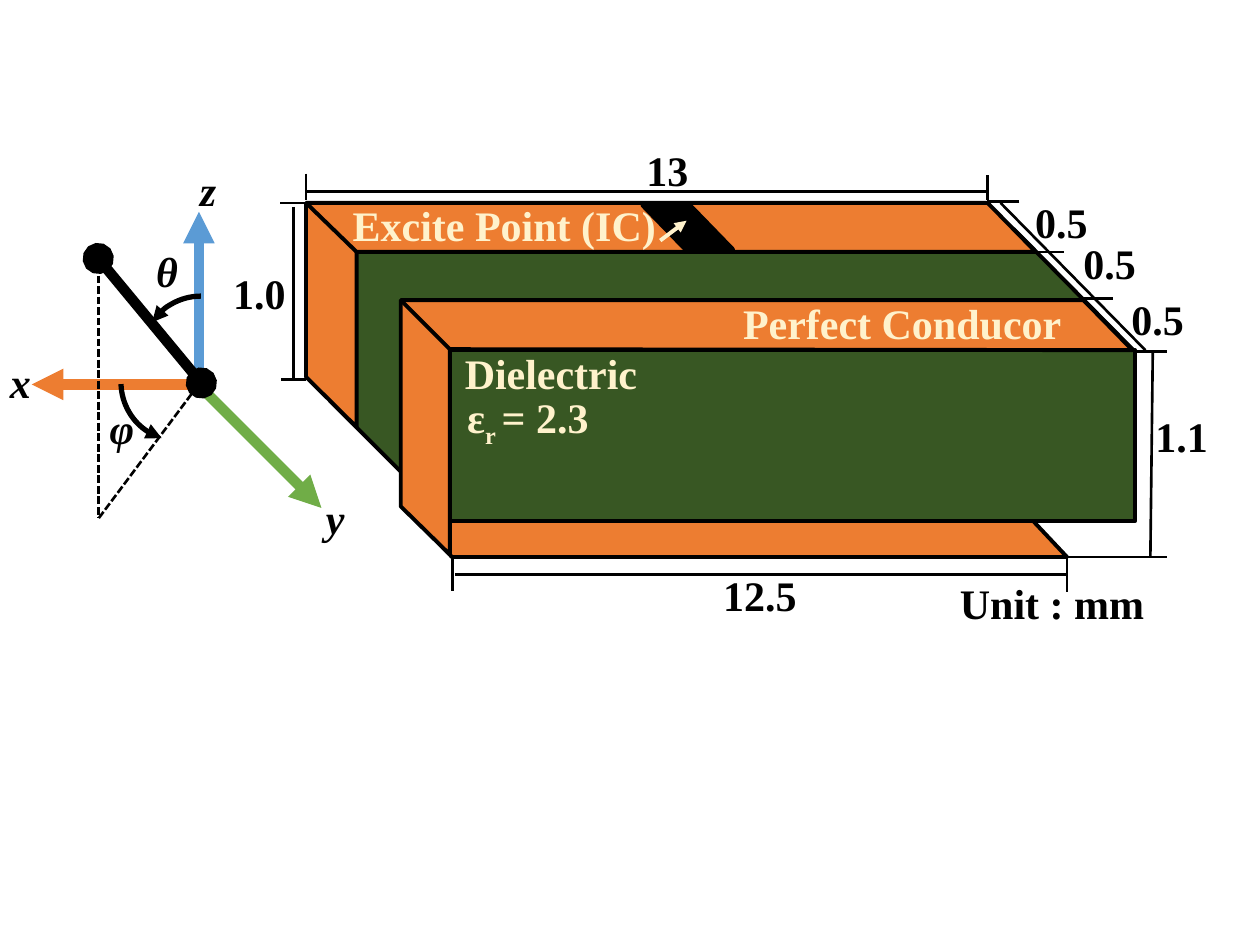
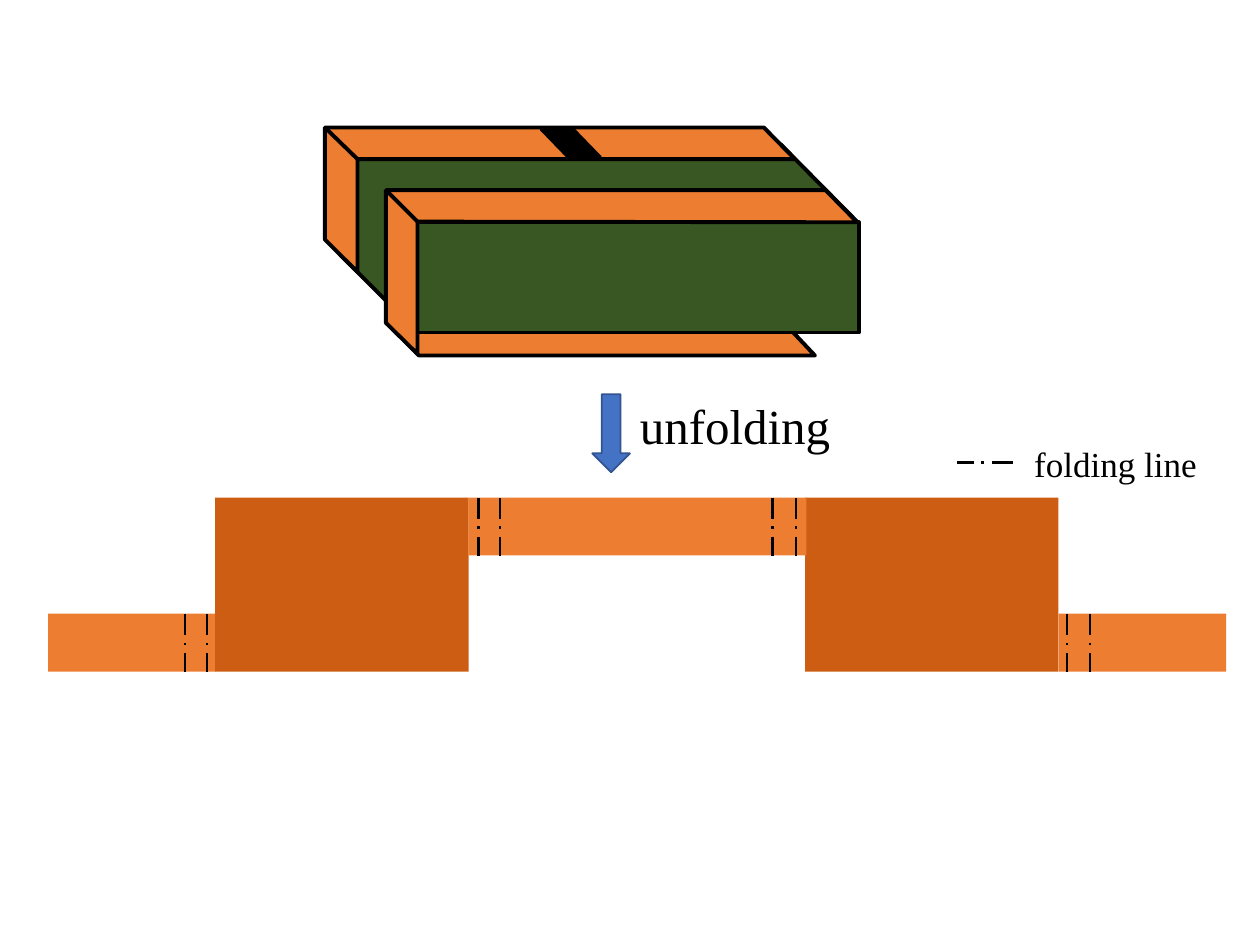
import lxml.etree
import pptx
import pptx.dml.color
import pptx.enum.dml
import pptx.enum.shapes
import pptx.enum.text
import pptx.oxml.ns
import pptx.util

Cm, Pt = pptx.util.Cm, pptx.util.Pt
RGB = pptx.dml.color.RGBColor.from_string
SHAPE = pptx.enum.shapes.MSO_SHAPE
DASH = pptx.enum.dml.MSO_LINE
qn = pptx.oxml.ns.qn

FONT = "Times New Roman"
COLORS = {
    "black": "000000", "cream": "FFF2CC", "conductor": "ED7D31",
    "panel": "CC5D12", "dielectric": "385723", "x_axis": "ED7D31",
    "y_axis": "70AD47", "z_axis": "5B9BD5", "arrow": "4472C4",
    "arrow_edge": "325491",
}


def add_line(shapes, x1, y1, x2, y2, color="black", width=1.5,
             dash=None, head=None, tail=None):
    """Draw a straight line in cm; head and tail are the end types."""
    c = shapes.add_connector(pptx.enum.shapes.MSO_CONNECTOR.STRAIGHT,
                             Cm(x1), Cm(y1), Cm(x2), Cm(y2))
    c.line.fill.solid()
    c.line.fill.fore_color.rgb = RGB(COLORS[color])
    c.line.width = Pt(width)
    if dash:
        c.line.dash_style = dash
    spPr = c._element.spPr
    for tag, kind in (("a:headEnd", head), ("a:tailEnd", tail)):
        if kind:
            lxml.etree.SubElement(spPr.find(qn("a:ln")), qn(tag), type=kind)
    lxml.etree.SubElement(spPr, qn("a:effectLst"))


def add_label(shapes, x, y, w, runs, color="black", size=24,
              bold=True, italic=False, wrap=False):
    """Write one line; runs is a list of (text, baseline) pairs."""
    height = round(size * 0.05 + 0.08, 2)
    tf = shapes.add_textbox(Cm(x), Cm(y), Cm(w), Cm(height)).text_frame
    tf.word_wrap = wrap
    tf.auto_size = pptx.enum.text.MSO_AUTO_SIZE.SHAPE_TO_FIT_TEXT
    p = tf.paragraphs[0]
    for text, baseline in runs:
        r = p.add_run()
        r.text = text
        r.font.name = FONT
        r.font.size = Pt(size)
        r.font.bold = bold
        r.font.italic = italic
        r.font.color.rgb = RGB(COLORS[color])
        if baseline:
            r.font._element.set("baseline", str(baseline))


prs = pptx.Presentation()
prs.slide_width, prs.slide_height = Cm(25.4), Cm(19.05)
model_slide, unfold_slide = [prs.slides.add_slide(prs.slide_layouts[6])
                             for _ in range(2)]

# Folded antenna in cm from its back top left corner, back to front
ANTENNA = [
    (SHAPE.PARALLELOGRAM, (2.03, 6.17, 13.31, 0.97), 0.94, "conductor"),
    ("outline", [(6.58, 0.43), (8.33, 0.43), (8.33, 0.97), (14.27, 0.97),
                 (14.27, 0.53), (16.71, 3), (14.48, 3), (14.48, 4.17),
                 (2.92, 4.17), (2.92, 6.43), (0.48, 3.99), (0.94, 3.99),
                 (0.94, 0.97), (6.58, 0.97)], None, "dielectric"),
    (SHAPE.RECTANGLE, (2.87, 2.97, 13.84, 3.45), None, "dielectric"),
    ("outline", [(0, 0), (13.74, 0), (14.71, 0.99), (1.02, 0.99),
                 (1.02, 4.52), (0, 3.51)], None, "conductor"),
    (SHAPE.PARALLELOGRAM, (6.78, 0.05, 1.83, 0.89), 0.97, "black"),
    ("edge", [(0, 0), (1.02, 0.99)], None, "black"),
    ("outline", [(1.91, 1.96), (15.67, 1.96), (16.66, 2.97), (2.9, 2.95),
                 (2.9, 7.09), (1.91, 6.12)], None, "conductor"),
    ("edge", [(1.91, 1.96), (2.9, 2.95)], None, "black"),
]
for s, left, top, scale in ((model_slide, 6.17, 4.09, 1),
                            (unfold_slide, 6.55, 2.57, 0.644)):
    shapes = s.shapes.add_group_shape().shapes
    for kind, geometry, skew, color in ANTENNA:
        if kind in ("outline", "edge"):
            points = [(left + x * scale, top + y * scale) for x, y in geometry]
            if kind == "edge":
                add_line(shapes, *points[0], *points[1], color, 2.25)
                continue
            corners = [(Cm(x), Cm(y)) for x, y in points]
            builder = shapes.build_freeform(*corners[0])
            builder.add_line_segments(corners[1:], close=True)
            sp = builder.convert_to_shape()
        else:
            x, y, w, h = [v * scale for v in geometry]
            sp = shapes.add_shape(kind, Cm(left + x), Cm(top + y), Cm(w), Cm(h))
        if skew:
            sp.adjustments[0] = skew
            sp._element.spPr.find(qn("a:xfrm")).set("flipV", "1")
        sp.shadow.inherit = False
        sp.fill.solid()
        sp.fill.fore_color.rgb = RGB(COLORS[color])
        sp.line.color.rgb = RGB(COLORS["black"])
        sp.line.width = Pt(2.25)

# Slide 1: coordinate axes
shapes = model_slide.shapes.add_group_shape().shapes
for ends, color in (((4.01, 7.75, 0.64, 7.75), "x_axis"),
                    ((4.09, 7.85, 6.48, 10.24), "y_axis"),
                    ((4.01, 7.65, 4.01, 4.27), "z_axis")):
    add_line(shapes, *ends, color, 6, tail="triangle")
add_line(shapes, 4.06, 7.72, 1.98, 5.21, width=6, head="oval", tail="oval")
for ends in ((3.99, 7.77, 1.98, 10.46), (1.98, 5.13, 1.98, 10.44)):
    add_line(shapes, *ends, dash=DASH.SQUARE_DOT)

for x, y, start, stop in ((2.87, 5.97, 270, 326.34), (2.44, 6.53, 1.67, 72.25)):
    sp = shapes.add_shape(SHAPE.ARC, Cm(x), Cm(y), Cm(2.36), Cm(2.36))
    sp.shadow.inherit = False
    # Angles are stored in 60000ths of a degree, adjustments in 100000ths
    sp.adjustments[0], sp.adjustments[1] = start * 0.6, stop * 0.6
    sp.fill.background()
    sp.line.color.rgb = RGB(COLORS["black"])
    sp.line.width = Pt(3)
    spPr = sp._element.spPr
    spPr.find(qn("a:xfrm")).set("flipH", "1")
    lxml.etree.SubElement(spPr.find(qn("a:ln")), qn("a:tailEnd"), type="triangle")

for symbol, x, y, w in (("x", -0.05, 7.06, 0.94), ("y", 6.32, 9.8, 0.89),
                        ("z", 3.78, 3.2, 0.84), ("θ", 2.9, 4.83, 0.97),
                        ("φ", 1.96, 7.98, 1.02)):
    add_label(shapes, x, y, w, [(symbol, 0)], italic=True)

# Slide 1: dimensions
shapes = model_slide.shapes.add_group_shape().shapes
DIMENSION_LINES = [
    # length along the top
    (6.17, 3.5, 6.17, 4.04), (19.91, 3.53, 19.91, 4.04),
    (6.17, 3.86, 19.91, 3.86),
    # height on the left
    (6.17, 4.09, 5.64, 4.09), (6.17, 7.65, 5.66, 7.65),
    (5.92, 4.17, 5.92, 7.65),
    # depth steps
    (20.55, 4.06, 19.89, 4.06), (21.44, 5.08, 20.75, 5.08),
    (22.43, 6.02, 21.79, 6.02), (20.17, 4.09, 23.09, 7.06),
    # height on the right
    (23.52, 7.09, 22.89, 7.09), (23.52, 11.23, 21.51, 11.23),
    (23.24, 7.06, 23.19, 11.23),
    # length along the bottom
    (9.12, 11.2, 9.12, 11.91), (21.51, 11.23, 21.51, 11.94),
    (21.49, 11.58, 9.17, 11.58),
]
for ends in DIMENSION_LINES:
    add_line(shapes, *ends)
add_line(shapes, 13.31, 4.85, 13.84, 4.45, "cream", 2.25, tail="triangle")

for text, x, y, w, wrap in (("13", 12.78, 2.79, 1.37, False),
                            ("1.0", 4.45, 5.26, 1.65, True),
                            ("0.5", 20.62, 3.84, 1.6, True),
                            ("0.5", 21.59, 4.67, 1.6, True),
                            ("0.5", 22.56, 5.79, 1.6, True),
                            ("1.1", 23.04, 8.15, 1.6, True),
                            ("12.5", 14.33, 11.35, 2.01, False),
                            ("Unit : mm", 19.1, 11.51, 4.27, False)):
    add_label(shapes, x, y, w, [(text, 0)], wrap=wrap)
for runs, x, y, w in (([("Excite Point (IC)", 0)], 6.86, 3.89, 6.68),
                      ([("Perfect Conducor", 0)], 14.73, 5.87, 6.99),
                      ([("Dielectric", 0)], 9.12, 6.88, 4.01),
                      ([("ε", 0), ("r ", -25000), ("= 2.3", 0)],
                       9.17, 7.77, 3.02)):
    add_label(shapes, x, y, w, runs, "cream")

# Slide 2: unfolded sheet
shapes = unfold_slide.shapes
SHEET_TOP, TAB_TOP = 10.03, 12.37
STRIP_H, PANEL_H = 1.17, 3.51
for x, y, w, h, color in ((0.97, TAB_TOP, 3.38, STRIP_H, "conductor"),
                          (4.34, SHEET_TOP, 5.11, PANEL_H, "panel"),
                          (21.34, TAB_TOP, 3.38, STRIP_H, "conductor"),
                          (16.23, SHEET_TOP, 5.11, PANEL_H, "panel"),
                          (9.45, SHEET_TOP, 6.81, STRIP_H, "conductor")):
    sp = shapes.add_shape(SHAPE.RECTANGLE, Cm(x), Cm(y), Cm(w), Cm(h))
    sp.shadow.inherit = False
    sp.fill.solid()
    sp.fill.fore_color.rgb = RGB(COLORS[color])
    sp.line.fill.background()

for y, fold_xs in ((TAB_TOP, (3.73, 4.17, 21.51, 21.97)),
                   (SHEET_TOP, (9.65, 10.08, 15.57, 16.05))):
    for x in fold_xs:
        add_line(shapes, x, y, x, y + STRIP_H, dash=DASH.LONG_DASH_DOT)

sp = shapes.add_shape(SHAPE.DOWN_ARROW, Cm(11.94), Cm(7.95), Cm(0.76), Cm(1.57))
sp.shadow.inherit = False
sp.fill.solid()
sp.fill.fore_color.rgb = RGB(COLORS["arrow"])
sp.line.color.rgb = RGB(COLORS["arrow_edge"])
sp.line.width = Pt(1)
add_label(shapes, 12.65, 7.85, 4.57, [("unfolding", 0)],
          size=28, bold=False, wrap=True)

add_line(shapes, 20.42, 9.32, 19.3, 9.32, dash=DASH.LONG_DASH_DOT)
add_label(shapes, 20.6, 8.79, 4.11, [("folding line", 0)],
          size=20, bold=False, wrap=True)

prs.save("out.pptx")
